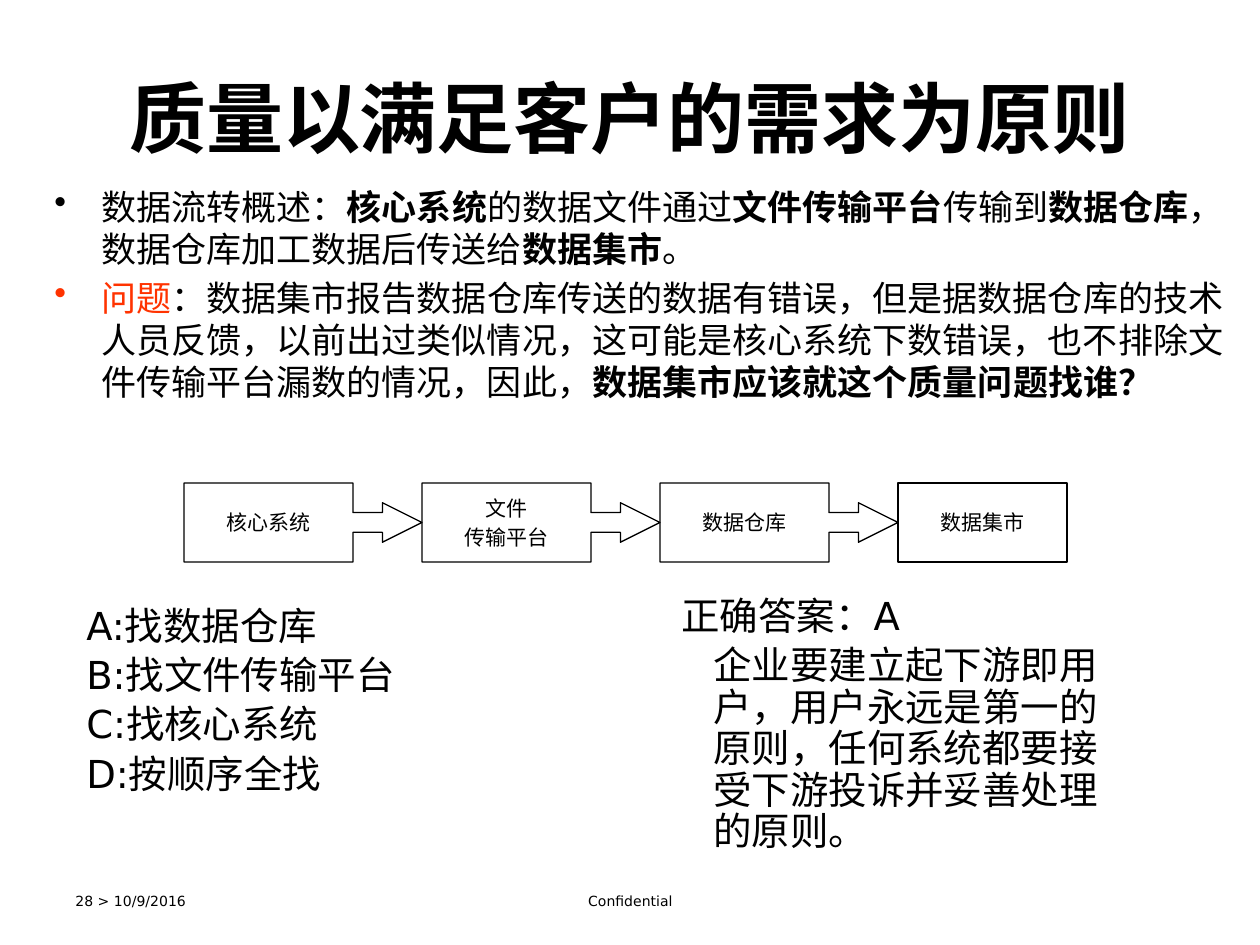
from lxml.etree import SubElement
from pptx import Presentation
from pptx.dml.color import RGBColor
from pptx.enum.lang import MSO_LANGUAGE_ID as Language
from pptx.enum.shapes import MSO_SHAPE as Shape
from pptx.enum.text import MSO_ANCHOR as Anchor, PP_ALIGN as Align
from pptx.oxml.ns import qn
from pptx.util import Emu, Pt

PX = 914400 // 126
COLORS = {"black": "000000", "red": "FF3300"}

# Content: a paragraph is a list of (text, font values) runs
BOLD = {"bold": True}
TITLE = [[("质量以满足客户的需求为原则", BOLD)]]
BODY = [
    [("数据流转概述：", {}), ("核心系统", BOLD), ("的数据文件通过", {}),
     ("文件传输平台", BOLD), ("传输到", {}), ("数据仓库", BOLD),
     ("，数据仓库加工数据后传送给", {}), ("数据集市", BOLD), ("。", {})],
    [("问题", {"color": "red"}),
     ("：数据集市报告数据仓库传送的数据有错误，但是据数据仓库的技术人员反馈，"
      "以前出过类似情况，这可能是核心系统下数错误，也不排除文件传输平台漏数的情况，因此，", {}),
     ("数据集市应该就这个质量问题找谁？", BOLD)],
]
STEPS = [["核心系统"], ["文件", "传输平台"], ["数据仓库"], ["数据集市"]]
OPTIONS = ["A:找数据仓库", "B:找文件传输平台", "C:找核心系统", "D:按顺序全找"]
ANSWER = ["正确答案：A",
          "企业要建立起下游即用户，用户永远是第一的原则，任何系统都要接受下游投诉并妥善处理的原则。"]

# Flow geometry in px
FLOW_LEFT, FLOW_TOP, FLOW_HEIGHT = 184, 483, 79
STEP_PITCH, BOX_WIDTH = 238, 169
CALLOUT_ADJUSTMENTS = (0.25, 0.25, 0.5, 0.71)


def px(*values):
    return [Emu(value * PX) for value in values]


def plain(lines):
    return [[(line, {})] for line in lines]


def fill_text(frame, paragraphs, size, font="DejaVu Sans", align=Align.LEFT,
              anchor=Anchor.TOP, wrap=True, line_spacing=None, bullet=None, indents=()):
    frame.word_wrap, frame.vertical_anchor = wrap, anchor
    for index, runs in enumerate(paragraphs):
        paragraph = frame.paragraphs[0] if index == 0 else frame.add_paragraph()
        paragraph.alignment = align
        if line_spacing:
            paragraph.line_spacing = line_spacing
        if index:
            paragraph.space_before = Pt(round(size * 0.2, 1))
        properties = paragraph._p.get_or_add_pPr()
        if indents:
            margin, first = px(*indents[index])
            properties.set("marL", str(margin))
            properties.set("indent", str(first))
        if bullet:
            SubElement(properties, qn("a:buChar"), char=bullet)
        for text, values in runs:
            run = paragraph.add_run()
            run.text = text
            style = {"name": font, "size": Pt(size), "bold": False,
                     "language_id": Language.SIMPLIFIED_CHINESE, **values}
            color = style.pop("color", "black")
            for name, value in style.items():
                setattr(run.font, name, value)
            run.font.color.rgb = RGBColor.from_string(COLORS[color])


def add_text(slide, box, paragraphs, size, **values):
    shape = slide.shapes.add_textbox(*px(*box))
    fill_text(shape.text_frame, paragraphs, size, **values)


def add_step(slide, index, lines):
    last = index == len(STEPS) - 1
    shape = slide.shapes.add_shape(
        Shape.RECTANGLE if last else Shape.RIGHT_ARROW_CALLOUT,
        *px(FLOW_LEFT + index * STEP_PITCH, FLOW_TOP,
            BOX_WIDTH if last else STEP_PITCH, FLOW_HEIGHT))
    if not last:
        for number, value in enumerate(CALLOUT_ADJUSTMENTS):
            shape.adjustments[number] = value
    shape.shadow.inherit = False
    shape.fill.background()
    shape.line.color.rgb = RGBColor.from_string(COLORS["black"])
    shape.line.width = Pt(0.75)
    fill_text(shape.text_frame, plain(lines), 12, align=Align.CENTER,
              anchor=Anchor.MIDDLE, wrap=False)


def main():
    presentation = Presentation()
    presentation.slide_width, presentation.slide_height = px(1260, 945)
    slide = presentation.slides.add_slide(presentation.slide_layouts[6])

    # Title and problem statement
    add_text(slide, (63, 38, 1134, 158), TITLE, 44, font="Calibri",
             align=Align.CENTER, anchor=Anchor.MIDDLE)
    add_text(slide, (42, 179, 1218, 214), BODY, 20, font="Calibri",
             bullet="•", indents=[(47, -47)] * len(BODY))

    # Footer
    add_text(slide, (63, 876, 294, 50), plain(["28 > 10/9/2016"]), 8, anchor=Anchor.MIDDLE)
    add_text(slide, (431, 876, 399, 50), plain(["Confidential"]), 8,
             align=Align.CENTER, anchor=Anchor.MIDDLE)

    # Data flow
    for index, lines in enumerate(STEPS):
        add_step(slide, index, lines)

    # Options and answer
    hanging = (32, -32)
    add_text(slide, (74, 601, 456, 267), plain(OPTIONS), 22, line_spacing=0.9,
             indents=[hanging] * len(OPTIONS))
    add_text(slide, (669, 591, 456, 267), plain(ANSWER), 22, line_spacing=0.9,
             indents=[hanging, (32, 0)])

    presentation.save("out.pptx")


if __name__ == "__main__":
    main()
